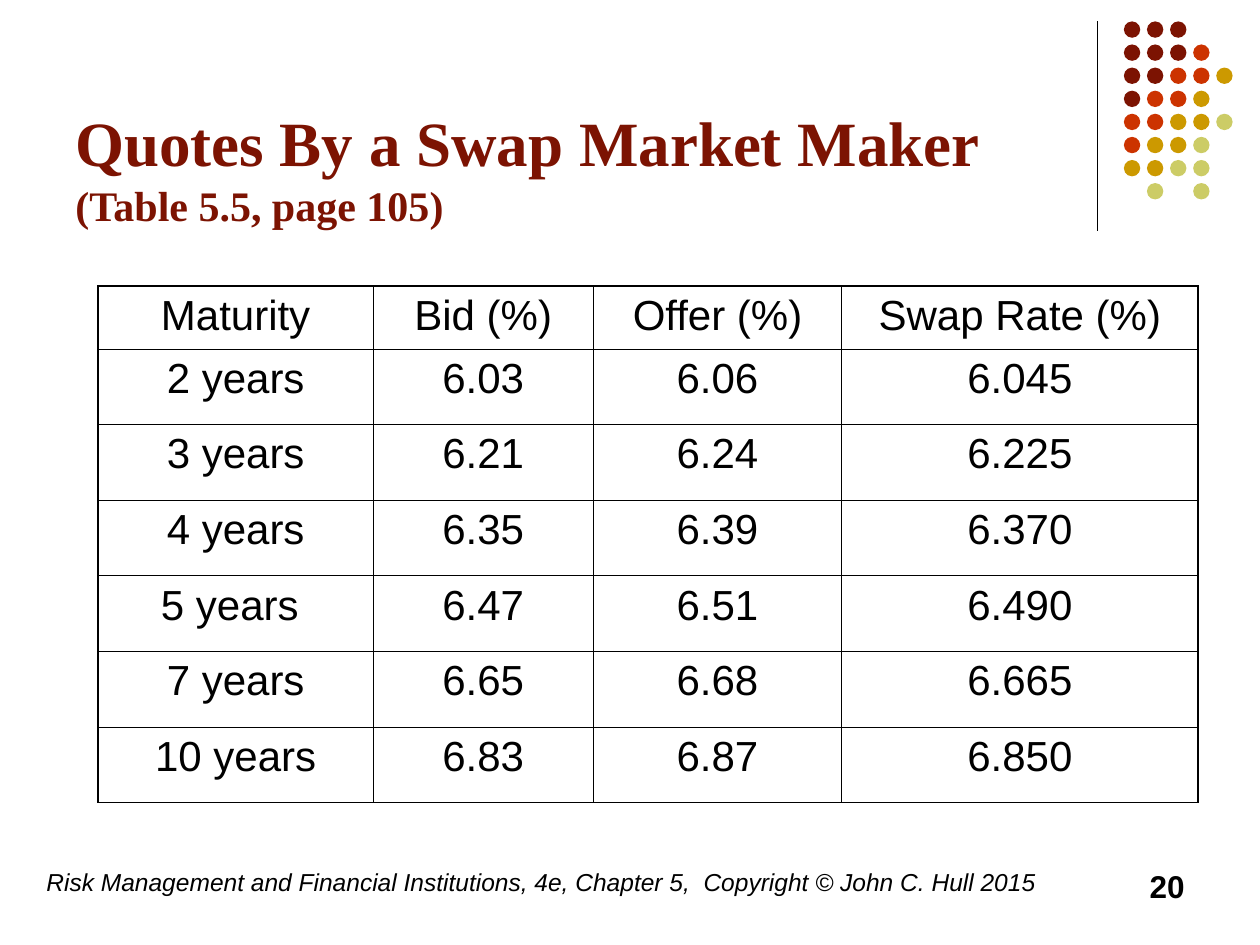
"""Build the swap market maker quotes slide."""
from lxml.etree import SubElement
from pptx import Presentation
from pptx.dml.color import RGBColor
from pptx.enum.shapes import MSO_CONNECTOR as Connector, MSO_SHAPE as Shape
from pptx.enum.text import MSO_ANCHOR as Anchor, PP_ALIGN as Align
from pptx.oxml.ns import qn
from pptx.util import Inches, Pt

BLACK = RGBColor(0x00, 0x00, 0x00)
MAROON = RGBColor(0x7C, 0x13, 0x02)
RED = RGBColor(0xCC, 0x33, 0x00)
GOLD = RGBColor(0xCC, 0x99, 0x00)
OLIVE = RGBColor(0xCC, 0xCC, 0x66)

DOT_COLORS = {"M": MAROON, "R": RED, "G": GOLD, "O": OLIVE}
DOT_ROWS = ["MMM", "MMMR", "MMRRG", "MRRG", "RRGGO", "RGGO", "GGOO", "-O-O"]
DOT_LEFT, DOT_TOP, DOT_SIZE, DOT_PITCH = 8.92, 0.17, 0.13, 0.55 / 3

TITLE_FORMAT = {"name": "Times New Roman", "bold": True}
BODY_FORMAT = {"name": "Arial", "size": Pt(24)}
TEXTS = [
    ((0.5, 0.39, 8.17, 1.48), Anchor.BOTTOM, Align.LEFT, MAROON, [
        ("Quotes By a Swap Market Maker ", TITLE_FORMAT | {"size": Pt(36)}),
        ("(Table 5.5, page 105)", TITLE_FORMAT | {"size": Pt(24)}),
    ]),
    ((0.27, 6.83, 8.27, 0.5), Anchor.TOP, Align.LEFT, BLACK, [
        ("Risk Management and Financial Institutions, 4e, Chapter 5,  "
         "Copyright © John C. Hull 2015",
         BODY_FORMAT | {"size": Pt(14), "italic": True}),
    ]),
    ((7.17, 6.83, 2.33, 0.5), Anchor.TOP, Align.RIGHT, BLACK, [
        ("20", BODY_FORMAT | {"size": Pt(18), "bold": True}),
    ]),
]

QUOTES = [
    ("Maturity", "Bid (%)", "Offer (%)", "Swap Rate (%)"),
    ("2 years", "6.03", "6.06", "6.045"),
    ("3 years", "6.21", "6.24", "6.225"),
    ("4 years", "6.35", "6.39", "6.370"),
    ("5 years ", "6.47", "6.51", "6.490"),
    ("7 years", "6.65", "6.68", "6.665"),
    ("10 years", "6.83", "6.87", "6.850"),
]
TABLE_LEFT, TABLE_TOP = 0.78, 2.27
COLUMN_WIDTHS = [2.18, 1.75, 1.97, 2.83]
ROW_HEIGHTS = [0.5] + [0.6] * (len(QUOTES) - 1)
INNER_BORDER, OUTER_BORDER = Pt(0.45), Pt(1.08)


def add_run(paragraph, text, color, font_format):
    run = paragraph.add_run()
    run.text = text
    run.font.color.rgb = color
    for name, value in font_format.items():
        setattr(run.font, name, value)


def add_text(slide, box, anchor, alignment, color, runs):
    frame = slide.shapes.add_textbox(*map(Inches, box)).text_frame
    frame.word_wrap = True
    frame.vertical_anchor = anchor
    paragraph = frame.paragraphs[0]
    paragraph.alignment = alignment
    for text, font_format in runs:
        add_run(paragraph, text, color, font_format)


def add_dots(slide):
    size = Inches(DOT_SIZE)
    for row, letters in enumerate(DOT_ROWS):
        for column, letter in enumerate(letters):
            if letter not in DOT_COLORS:
                continue
            left = Inches(DOT_LEFT + column * DOT_PITCH)
            top = Inches(DOT_TOP + row * DOT_PITCH)
            dot = slide.shapes.add_shape(Shape.OVAL, left, top, size, size)
            dot.shadow.inherit = False
            dot.fill.solid()
            dot.fill.fore_color.rgb = DOT_COLORS[letter]
            dot.line.fill.background()


def add_divider(slide):
    ends = map(Inches, (8.71, 0.17, 8.71, 1.83))
    divider = slide.shapes.add_connector(Connector.STRAIGHT, *ends)
    divider.line.color.rgb = BLACK
    divider.line.width = Pt(0.75)
    SubElement(divider._element.spPr, qn("a:effectLst"))


def set_borders(cell, outer_sides):
    properties = cell._tc.get_or_add_tcPr()
    for side, is_outer in outer_sides.items():
        width = OUTER_BORDER if is_outer else INNER_BORDER
        border = SubElement(properties, qn(f"a:ln{side}"), w=str(width))
        fill = SubElement(border, qn("a:solidFill"))
        SubElement(fill, qn("a:srgbClr"), val=str(BLACK))


def add_quotes(slide):
    rows, columns = len(QUOTES), len(COLUMN_WIDTHS)
    box = (TABLE_LEFT, TABLE_TOP, sum(COLUMN_WIDTHS), sum(ROW_HEIGHTS))
    table = slide.shapes.add_table(rows, columns, *map(Inches, box)).table
    table.first_row = table.horz_banding = False
    for column, width in zip(table.columns, COLUMN_WIDTHS):
        column.width = Inches(width)
    for row, height in zip(table.rows, ROW_HEIGHTS):
        row.height = Inches(height)
    for row, values in enumerate(QUOTES):
        for column, value in enumerate(values):
            cell = table.cell(row, column)
            set_borders(cell, {"L": column == 0, "R": column == columns - 1,
                               "T": row == 0, "B": row == rows - 1})
            cell.fill.background()
            paragraph = cell.text_frame.paragraphs[0]
            paragraph.alignment = Align.CENTER
            paragraph.space_before = Pt(6)
            add_run(paragraph, value, BLACK, BODY_FORMAT)


def main():
    presentation = Presentation()
    presentation.slide_width = Inches(10)
    presentation.slide_height = Inches(7.5)
    slide = presentation.slides.add_slide(presentation.slide_layouts[6])
    add_divider(slide)
    add_dots(slide)
    add_quotes(slide)
    for text in TEXTS:
        add_text(slide, *text)
    presentation.save("out.pptx")


if __name__ == "__main__":
    main()
